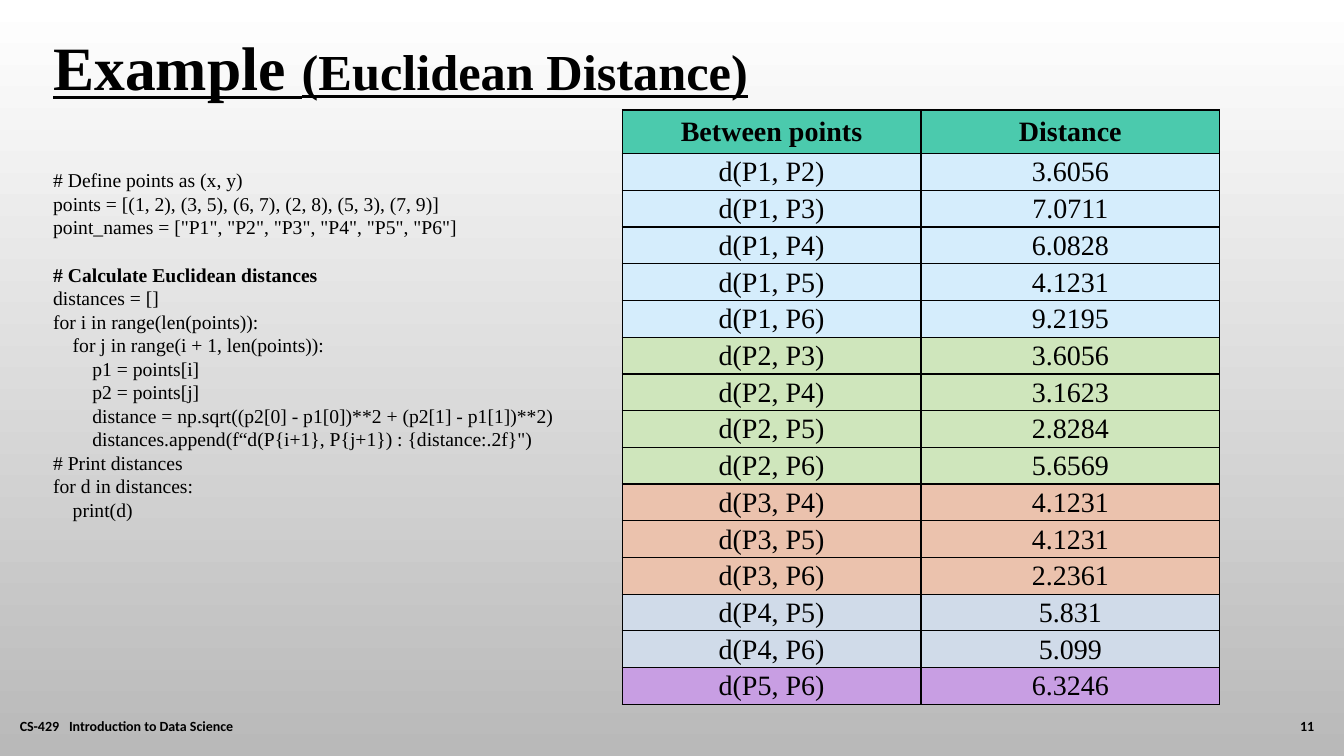
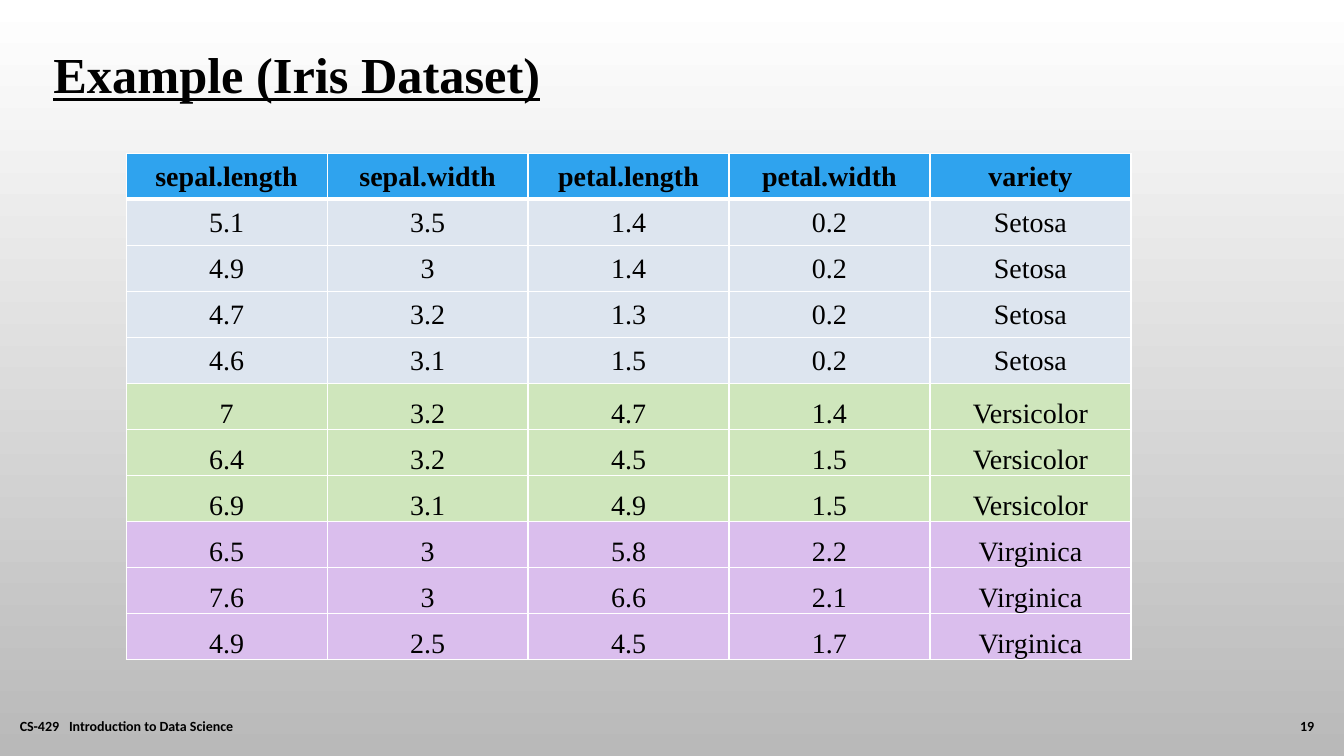
from dataclasses import dataclass
from typing import NamedTuple

from lxml.etree import SubElement
from pptx import Presentation
from pptx.dml.color import RGBColor
from pptx.enum.text import MSO_ANCHOR, MSO_AUTO_SIZE, PP_ALIGN
from pptx.oxml.ns import qn
from pptx.util import Cm, Pt


@dataclass(frozen=True)
class Theme:
    serif: str = "Times New Roman"
    sans: str = "Calibri"
    ink: str = "000000"
    white: str = "FFFFFF"
    page_end: str = "B9B9B9"
    teal: str = "4BCAAD"
    blue: str = "2FA3EE"
    sky: str = "D5EDFC"
    green: str = "CFE6BC"
    peach: str = "EBC2AD"
    steel: str = "D0DBE9"
    mist: str = "DDE5EF"
    purple: str = "C89EE3"
    lilac: str = "DABEED"
    title_large: int = 44
    title: int = 36
    table: int = 20
    code: int = 14
    footer: int = 10


THEME = Theme()


class Area(NamedTuple):
    left: float
    top: float
    width: float
    height: float


class TitlePart(NamedTuple):
    text: str
    size: int


class RowGroup(NamedTuple):
    fill: str
    rows: list[str]
    anchor: MSO_ANCHOR = MSO_ANCHOR.MIDDLE


@dataclass(frozen=True)
class TableStyle:
    header_fill: str
    border: str
    header_height: float
    header_rule: float = 1
    tight_header: bool = True


COURSE = "CS-429\tIntroduction to Data Science"
COURSE_AREA = Area(0.25, 17.78, 18.54, 1.02)
NUMBER_AREA = Area(31.24, 17.78, 2.13, 1.02)
COURSE_TAB = Cm(1.24)

CODE = """# Define points as (x, y)
points = [(1, 2), (3, 5), (6, 7), (2, 8), (5, 3), (7, 9)]
point_names = ["P1", "P2", "P3", "P4", "P5", "P6"]

# Calculate Euclidean distances
distances = []
for i in range(len(points)):
    for j in range(i + 1, len(points)):
        p1 = points[i]
        p2 = points[j]
        distance = np.sqrt((p2[0] - p1[0])**2 + (p2[1] - p1[1])**2)
        distances.append(f“d(P{i+1}, P{j+1}) : {distance:.2f}")
# Print distances
for d in distances:
    print(d)"""
BOLD_CODE = "# Calculate Euclidean distances"

DISTANCES = [
    RowGroup(THEME.sky, ["d(P1, P2)|3.6056", "d(P1, P3)|7.0711", "d(P1, P4)|6.0828",
                         "d(P1, P5)|4.1231", "d(P1, P6)|9.2195"]),
    RowGroup(THEME.green, ["d(P2, P3)|3.6056", "d(P2, P4)|3.1623",
                           "d(P2, P5)|2.8284", "d(P2, P6)|5.6569"]),
    RowGroup(THEME.peach, ["d(P3, P4)|4.1231", "d(P3, P5)|4.1231", "d(P3, P6)|2.2361"]),
    RowGroup(THEME.steel, ["d(P4, P5)|5.831", "d(P4, P6)|5.099"]),
    RowGroup(THEME.purple, ["d(P5, P6)|6.3246"]),
]

FLOWERS = [
    RowGroup(THEME.mist, ["5.1|3.5|1.4|0.2|Setosa", "4.9|3|1.4|0.2|Setosa",
                          "4.7|3.2|1.3|0.2|Setosa", "4.6|3.1|1.5|0.2|Setosa"]),
    RowGroup(THEME.green, ["7|3.2|4.7|1.4|Versicolor", "6.4|3.2|4.5|1.5|Versicolor",
                           "6.9|3.1|4.9|1.5|Versicolor"], MSO_ANCHOR.BOTTOM),
    RowGroup(THEME.lilac, ["6.5|3|5.8|2.2|Virginica", "7.6|3|6.6|2.1|Virginica",
                           "4.9|2.5|4.5|1.7|Virginica"], MSO_ANCHOR.BOTTOM),
]


def lengths(area: Area) -> list[Cm]:
    return [Cm(value) for value in area]


def write(para, text: str, *, size: int, font: str = THEME.serif, bold: bool = False,
          underline: bool = False, align: PP_ALIGN = PP_ALIGN.LEFT) -> None:
    para.alignment = align
    span = para.add_run()
    span.text = text
    span.font.name = font
    span.font.size = Pt(size)
    span.font.bold = bold
    span.font.underline = underline
    span.font.color.rgb = RGBColor.from_string(THEME.ink)


def add_box(page, area: Area, anchor: MSO_ANCHOR = MSO_ANCHOR.TOP):
    frame = page.shapes.add_textbox(*lengths(area)).text_frame
    frame.word_wrap = True
    frame.vertical_anchor = anchor
    return frame


def paint_background(master) -> None:
    fill = master.background.fill
    fill.gradient()
    fill.gradient_angle = 270
    for stop, color in zip(fill.gradient_stops, (THEME.white, THEME.page_end)):
        stop.color.rgb = RGBColor.from_string(color)


def add_footer(page, number: int) -> None:
    para = add_box(page, COURSE_AREA, MSO_ANCHOR.MIDDLE).paragraphs[0]
    tabs = SubElement(para._p.get_or_add_pPr(), qn("a:tabLst"))
    SubElement(tabs, qn("a:tab"), pos=str(COURSE_TAB), algn="l")
    write(para, COURSE, size=THEME.footer, font=THEME.sans, bold=True)
    para = add_box(page, NUMBER_AREA, MSO_ANCHOR.MIDDLE).paragraphs[0]
    write(para, str(number), size=THEME.footer, font=THEME.sans, bold=True,
          align=PP_ALIGN.RIGHT)


def add_page(deck, title: list[TitlePart], area: Area, number: int):
    page = deck.slides.add_slide(deck.slide_layouts.get_by_name("Title Only"))
    box = page.shapes.title
    box.left, box.top, box.width, box.height = lengths(area)
    frame = box.text_frame
    frame.auto_size = MSO_AUTO_SIZE.NONE
    frame.vertical_anchor = MSO_ANCHOR.TOP
    for part in title:
        write(frame.paragraphs[0], part.text, size=part.size, bold=True, underline=True)
    add_footer(page, number)
    return page


def add_code(page, area: Area) -> None:
    frame = add_box(page, area)
    for block_index, block in enumerate(CODE.split("\n\n")):
        for line_index, line in enumerate(block.split("\n")):
            first = block_index == line_index == 0
            para = frame.paragraphs[0] if first else frame.add_paragraph()
            if block_index and not line_index:
                para.space_before = Pt(17)
            write(para, line, size=THEME.code, bold=line == BOLD_CODE)


def set_borders(cell, color: str, top: float, bottom: float) -> None:
    properties = cell._tc.get_or_add_tcPr()
    widths = {"a:lnL": 1, "a:lnR": 1, "a:lnT": top, "a:lnB": bottom}
    for index, (tag, width) in enumerate(widths.items()):
        line = SubElement(properties, qn(tag), w=str(Pt(width)))
        fill = SubElement(line, qn("a:solidFill"))
        SubElement(fill, qn("a:srgbClr"), val=color)
        properties.insert(index, line)


def add_grid(page, area: Area, header: str, groups: list[RowGroup],
             style: TableStyle) -> None:
    lines = [(header, style.header_fill, MSO_ANCHOR.MIDDLE)]
    lines += [(row, group.fill, group.anchor) for group in groups for row in group.rows]
    columns = len(header.split("|"))
    table = page.shapes.add_table(len(lines), columns, *lengths(area)).table
    table.horz_banding = False
    for column in table.columns:
        column.width = Cm(area.width / columns)
    body_height = (area.height - style.header_height) / (len(lines) - 1)
    for index, (row, fill, anchor) in enumerate(lines):
        is_header = index == 0
        table.rows[index].height = Cm(style.header_height if is_header else body_height)
        for cell, text in zip(table.rows[index].cells, row.split("|")):
            cell.fill.solid()
            cell.fill.fore_color.rgb = RGBColor.from_string(fill)
            cell.vertical_anchor = anchor
            if style.tight_header or not is_header:
                cell.margin_left = cell.margin_right = cell.margin_top = Cm(0.02)
                cell.margin_bottom = Cm(0)
            set_borders(cell, style.border,
                        top=style.header_rule if index == 1 else 1,
                        bottom=style.header_rule if is_header else 1)
            write(cell.text_frame.paragraphs[0], text, size=THEME.table,
                  bold=is_header, align=PP_ALIGN.CENTER)


def add_distance_page(deck) -> None:
    title = [TitlePart("Example ", THEME.title_large),
             TitlePart("(Euclidean Distance)", THEME.title)]
    page = add_page(deck, title, Area(1.09, 0.61, 31.06, 2.13), 11)
    add_code(page, Area(1.09, 4.11, 18.75, 9.25))
    style = TableStyle(THEME.teal, THEME.ink, header_height=1.1, tight_header=False)
    add_grid(page, Area(15.68, 2.77, 15.06, 14.98), "Between points|Distance",
             DISTANCES, style)


def add_iris_page(deck) -> None:
    title = [TitlePart("Example (Iris Dataset)", THEME.title)]
    page = add_page(deck, title, Area(1.09, 0.97, 31.06, 1.8), 19)
    style = TableStyle(THEME.blue, THEME.white, header_height=1.16, header_rule=3)
    add_grid(page, Area(3.18, 3.86, 25.32, 12.76),
             "sepal.length|sepal.width|petal.length|petal.width|variety",
             FLOWERS, style)


def main() -> None:
    deck = Presentation()
    deck.slide_width = Cm(33.87)
    deck.slide_height = Cm(19.05)
    paint_background(deck.slide_master)
    add_distance_page(deck)
    add_iris_page(deck)
    deck.save("out.pptx")


if __name__ == "__main__":
    main()
